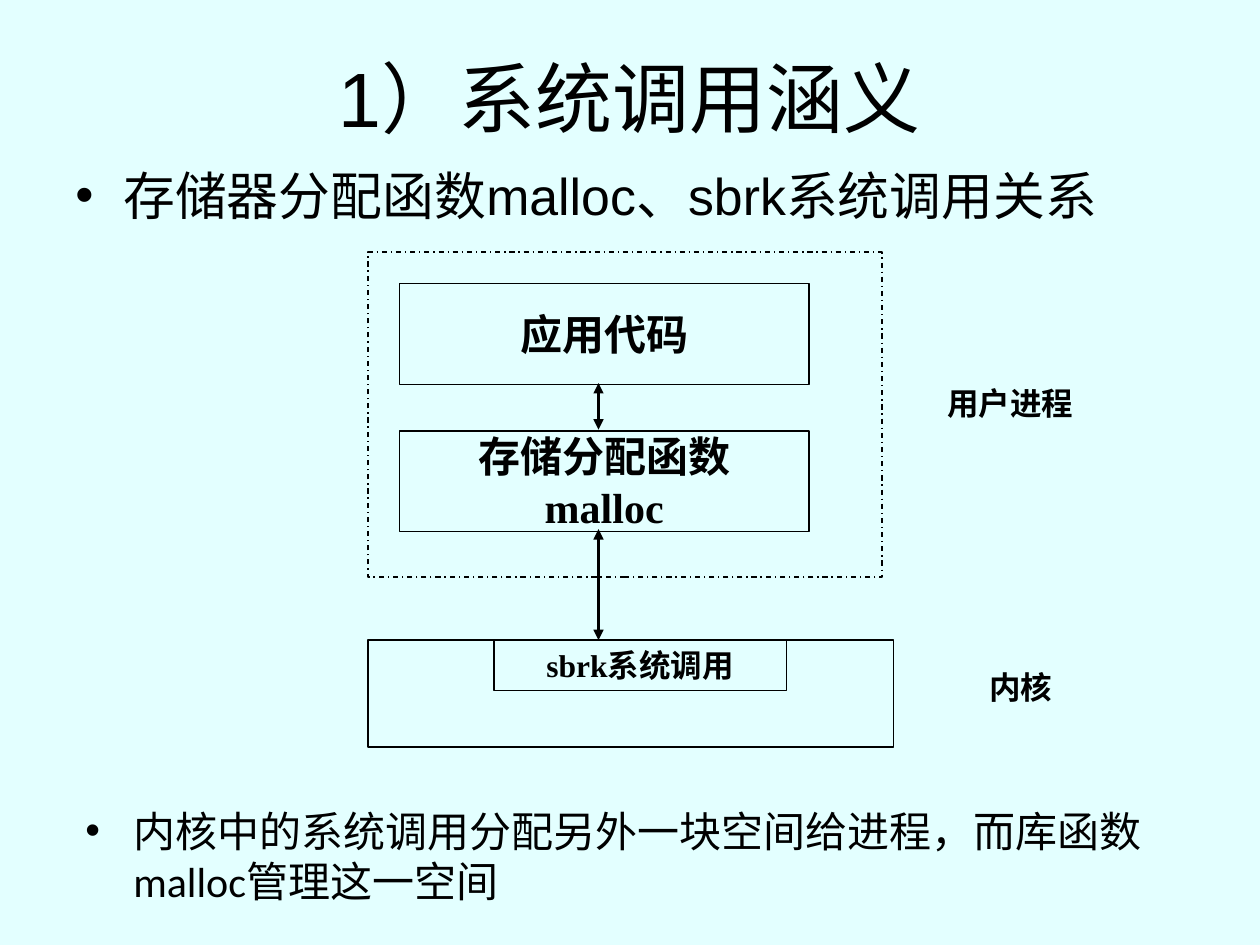
from dataclasses import dataclass

from lxml.etree import SubElement
from pptx import Presentation
from pptx.dml.color import RGBColor
from pptx.enum.dml import MSO_LINE
from pptx.enum.shapes import MSO_CONNECTOR, MSO_SHAPE
from pptx.enum.text import MSO_ANCHOR, PP_ALIGN
from pptx.oxml.ns import qn
from pptx.util import Inches, Pt

COLORS = {"back": "E3FFFF", "ink": "000000"}
INK = RGBColor.from_string(COLORS["ink"])
SERIF = "Times New Roman"
AXIS = 4.75  # x of both arrows


@dataclass
class Box:
    left: float
    top: float
    width: float
    height: float
    text: str = ""
    size: float = 24
    dash: bool = False


@dataclass
class Arrow:
    top: float
    bottom: float


BOXES = [
    Box(3.92, 5.08, 2.32, 0.4, "sbrk系统调用", 18),
    Box(3.17, 2.25, 3.25, 0.8, "应用代码"),
    Box(3.17, 3.42, 3.25, 0.8, "存储分配函数\nmalloc"),
    Box(2.92, 5.08, 4.17, 0.85),
    Box(2.92, 2, 4.08, 2.58, dash=True),
]
LABELS = [
    Box(7.42, 3, 1.2, 0.4, "用户进程", 18),
    Box(7.75, 5.25, 0.7, 0.4, "内核", 18),
]
ARROWS = [Arrow(4.2, 5.08), Arrow(3.04, 3.41)]
TITLE = Box(0.5, 0.14, 9, 1.25, "1）系统调用涵义", 44)
POINTS = [
    (Box(0.5, 1.25, 9, 0.83, "存储器分配函数malloc、sbrk系统调用关系", 29.6), "Arial"),
    (Box(0.58, 6.34, 9, 0.83,
         "内核中的系统调用分配另外一块空间给进程，而库函数malloc管理这一空间"), "Calibri"),
]


def place(box: Box) -> tuple:
    return tuple(Inches(n) for n in (box.left, box.top, box.width, box.height))


def add_bullet(para) -> None:
    """Give the paragraph a round bullet and a hanging indent."""
    props = para._p.get_or_add_pPr()
    props.set("marL", str(Inches(0.38)))
    props.set("indent", str(Inches(-0.38)))
    color = SubElement(props, qn("a:buClr"))
    SubElement(color, qn("a:srgbClr"), val=COLORS["ink"])
    SubElement(props, qn("a:buFont"), typeface="Arial")
    SubElement(props, qn("a:buChar"), char="•")


def write(shape, text: str, *, size: float, font: str = SERIF, bold: bool = False,
          bullet: bool = False, wrap: bool = True) -> None:
    frame = shape.text_frame
    frame.word_wrap = wrap
    frame.vertical_anchor = MSO_ANCHOR.TOP if bullet else MSO_ANCHOR.MIDDLE
    frame.text = text
    for para in frame.paragraphs:
        para.alignment = PP_ALIGN.LEFT if bullet else PP_ALIGN.CENTER
        if bullet:
            add_bullet(para)
        for run in para.runs:
            run.font.name = font
            run.font.size = Pt(size)
            run.font.bold = bold
            run.font.color.rgb = INK


def draw_box(slide, box: Box) -> None:
    shape = slide.shapes.add_shape(MSO_SHAPE.RECTANGLE, *place(box))
    shape.shadow.inherit = False
    shape.fill.background()
    shape.line.color.rgb = INK
    shape.line.width = Pt(0.75)
    if box.dash:
        shape.line.dash_style = MSO_LINE.DASH_DOT
    if box.text:
        write(shape, box.text, size=box.size, bold=True)


def draw_arrow(slide, arrow: Arrow) -> None:
    """Draw an upright line with a head at both ends."""
    link = slide.shapes.add_connector(
        MSO_CONNECTOR.STRAIGHT, Inches(AXIS), Inches(arrow.top),
        Inches(AXIS), Inches(arrow.bottom))
    link.line.color.rgb = INK
    link.line.width = Pt(1.5)
    line = link.line._get_or_add_ln()
    for end in ("a:headEnd", "a:tailEnd"):
        SubElement(line, qn(end), type="triangle")
    SubElement(link._element.spPr, qn("a:effectLst"))


def main() -> None:
    deck = Presentation()
    deck.slide_width, deck.slide_height = Inches(10), Inches(7.5)
    slide = deck.slides.add_slide(deck.slide_layouts[6])
    back = slide.background.fill
    back.solid()
    back.fore_color.rgb = RGBColor.from_string(COLORS["back"])

    title = slide.shapes.add_textbox(*place(TITLE))
    write(title, TITLE.text, size=TITLE.size, font="Arial")
    for box in BOXES:
        draw_box(slide, box)
    for label in LABELS:
        shape = slide.shapes.add_textbox(*place(label))
        write(shape, label.text, size=label.size, bold=True, wrap=False)
    for arrow in ARROWS:
        draw_arrow(slide, arrow)
    for point, font in POINTS:
        shape = slide.shapes.add_textbox(*place(point))
        write(shape, point.text, size=point.size, font=font, bullet=True)
    deck.save("out.pptx")


if __name__ == "__main__":
    main()
